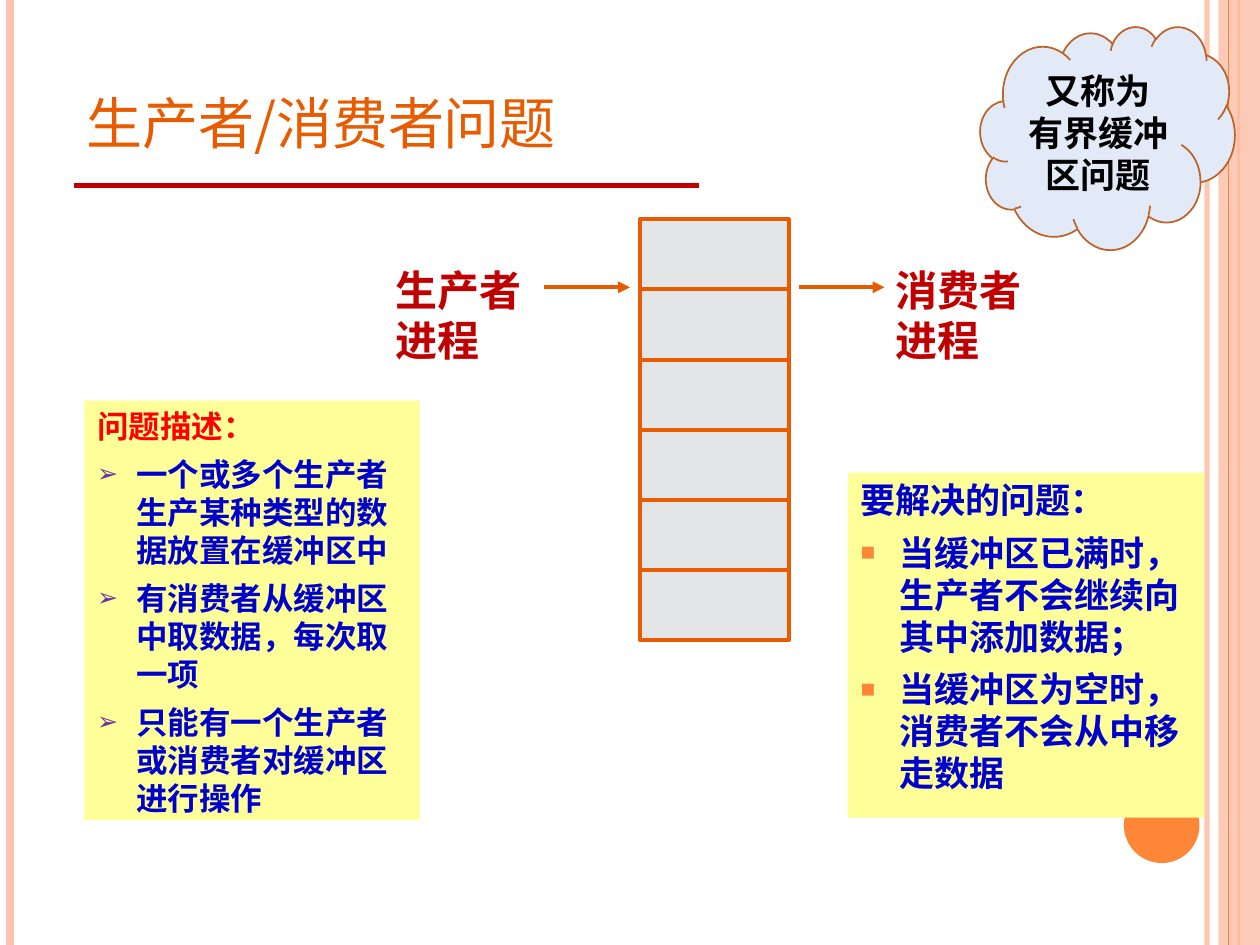
import pptx
import pptx.util
import pptx.dml.color
import pptx.enum.shapes
import pptx.enum.text
import pptx.oxml.ns
import lxml.etree

RGB = pptx.dml.color.RGBColor
WHITE = RGB(0xFF, 0xFF, 0xFF)
PEACH = RGB(0xFE, 0xC3, 0xAE)
AMBER = RGB(0xFE, 0x86, 0x37)
RUST = RGB(0xE7, 0x5C, 0x01)
BROWN = RGB(0xBC, 0x63, 0x29)
WINE = RGB(0xC0, 0x00, 0x00)
RED = RGB(0xFF, 0x00, 0x00)
BLUE = RGB(0x00, 0x00, 0xCC)
BLACK = RGB(0x00, 0x00, 0x00)
PLUM = RGB(0x70, 0x30, 0xA0)
LEMON = RGB(0xFF, 0xFF, 0x99)
GREY = RGB(0xE4, 0xE5, 0xE6)
SKY = RGB(0xE3, 0xEA, 0xF7)

FORM = pptx.enum.shapes.MSO_SHAPE
ALIGN = pptx.enum.text.PP_ALIGN
HOLD = pptx.enum.text.MSO_ANCHOR
FIT = pptx.enum.text.MSO_AUTO_SIZE


class Page:
    """Hold the style and the current slide, measured on a grid of 100 columns by 75 rows."""

    font = "Noto Sans CJK SC"
    cols, rows = 100, 75
    lead = 1.2

    def __init__(self, deck):
        self.unit = deck.slide_width / self.cols
        self.slide = deck.slides.add_slide(deck.slide_layouts[3])
        self.slide.background.fill.solid()
        self.slide.background.fill.fore_color.rgb = WHITE

    def span(self, *cells):
        return [round(cell * self.unit) for cell in cells]

    def node(self, home, tag, **traits):
        item = lxml.etree.SubElement(home, pptx.oxml.ns.qn("a:" + tag))
        for name, value in traits.items():
            item.set(name, str(value))
        return item

    def fade(self, shape, share):
        for tone in shape._element.spPr.iter(pptx.oxml.ns.qn("a:srgbClr")):
            self.node(tone, "alpha", val=share * 1000)

    def line(self, start, end, color, width, arrow=False):
        kind = pptx.enum.shapes.MSO_CONNECTOR.STRAIGHT
        line = self.slide.shapes.add_connector(kind, *self.span(*start, *end))
        line.line.color.rgb = color
        line.line.width = pptx.util.Pt(width)
        if arrow:
            self.node(line.line._get_or_add_ln(), "tailEnd", type="triangle")
        self.node(line._element.spPr, "effectLst")
        return line

    def shape(self, form, place, fill, edge=None, width=1):
        shape = self.slide.shapes.add_shape(form, *self.span(*place))
        shape.shadow.inherit = False
        shape.fill.solid()
        shape.fill.fore_color.rgb = fill
        if edge is None:
            shape.line.fill.background()
        else:
            shape.line.color.rgb = edge
            shape.line.width = pptx.util.Pt(width)
        return shape

    def holder(self, index, place, fill=None):
        shape = self.slide.placeholders[index]
        shape.left, shape.top, shape.width, shape.height = self.span(*place)
        self.slide.shapes._spTree.append(shape._element)
        if fill is not None:
            shape.fill.solid()
            shape.fill.fore_color.rgb = fill
        return shape

    def text(self, frame, texts, size, color, bold=True, align=ALIGN.LEFT, anchor=HOLD.TOP, wrap=True):
        frame.word_wrap = wrap
        frame.auto_size = FIT.NONE
        frame.vertical_anchor = anchor
        for rank, text in enumerate(texts):
            para = frame.paragraphs[0] if rank == 0 else frame.add_paragraph()
            para.alignment = align
            para.line_spacing = pptx.util.Pt(size * self.lead)
            para.space_before = pptx.util.Pt(0)
            run = para.add_run()
            run.text = text
            run.font.size = pptx.util.Pt(size)
            run.font.bold = bold
            run.font.color.rgb = color
            run.font.name = self.font
            self.node(run.font._element, "ea", typeface=self.font)
        return frame.paragraphs

    def title(self, text, place):
        frame = self.holder(0, place).text_frame
        para = self.text(frame, [text], 40, RUST, bold=False, anchor=HOLD.BOTTOM)[0]
        para.runs[0].font._element.set("cap", "small")

    def label(self, texts, place):
        frame = self.slide.shapes.add_textbox(*self.span(*place)).text_frame
        self.text(frame, texts, 24, WINE, wrap=False)

    def cloud(self, texts, place):
        cloud = self.shape(FORM.CLOUD, place, SKY, BROWN)
        self.text(cloud.text_frame, texts, 20, BLACK, align=ALIGN.CENTER, anchor=HOLD.MIDDLE)

    def notes(self, index, place, head, items, size, tone, mark, tint, scale):
        frame = self.holder(index, place, LEMON).text_frame
        paras = self.text(frame, [head, *items], size, BLUE)
        paras[0].runs[0].font.color.rgb = tone
        dent = self.span(3.1)[0]
        for rank, para in enumerate(paras):
            para.space_before = pptx.util.Pt(6)
            prop = para._p.get_or_add_pPr()
            prop.set("marL", str(dent))
            prop.set("indent", str(-dent))
            if rank == 0:
                self.node(prop, "buNone")
                continue
            self.node(self.node(prop, "buClr"), "srgbClr", val=tint)
            self.node(prop, "buSzPct", val=scale * 1000)
            self.node(prop, "buChar", char=mark)


def trim(page):
    """Draw the side bands and the dot."""
    tall = page.rows
    page.fade(page.line((95.8, 0), (95.8, tall), PEACH, 3), 93)
    page.line((0.8, 0), (0.8, tall), PEACH, 4.5)
    page.line((98.3, 0), (98.3, tall), AMBER, 1.5)
    page.fade(page.shape(FORM.RECTANGLE, (96.7, 0, 3.3, tall), PEACH), 87)
    page.line((97.5, 0), (97.5, tall), AMBER, 0.75)
    page.shape(FORM.OVAL, (89.2, 62.5, 6, 6), AMBER)


def main():
    """Build the slide and save it."""
    deck = pptx.Presentation()
    deck.slide_width = pptx.util.Inches(10)
    deck.slide_height = pptx.util.Inches(7.5)
    page = Page(deck)
    trim(page)
    page.line((5.9, 14.7), (55.5, 14.7), WINE, 3)
    page.title("生产者/消费者问题", (5.9, 3, 82, 10.1))
    step = 5.57
    for slot in range(6):
        page.shape(FORM.RECTANGLE, (50.8, 17.4 + slot * step, 11.8, step), GREY, RUST, 2.25)
    for name, left in (("生产者", 30.4), ("消费者", 70.1)):
        page.label([name, "进程"], (left, 20.5, 12.1, 9.1))
    for left in (43.2, 63.4):
        page.line((left, 22.8), (left + 6.8, 22.8), RUST, 2.25, arrow=True)
    page.cloud(["又称为", "有界缓冲区问题"], (77.8, 2.1, 20.2, 17.7))
    page.notes(1, (6.7, 31.8, 26.6, 33.3), "问题描述：", [
        "一个或多个生产者生产某种类型的数据放置在缓冲区中",
        "有消费者从缓冲区中取数据，每次取一项",
        "只能有一个生产者或消费者对缓冲区进行操作",
    ], 18, RED, "➢", PLUM, 80)
    page.notes(2, (67.3, 37.5, 28.3, 27.4), "要解决的问题：", [
        "当缓冲区已满时，生产者不会继续向其中添加数据；",
        "当缓冲区为空时，消费者不会从中移走数据",
    ], 20, BLUE, "■", AMBER, 70)
    deck.save("out.pptx")


if __name__ == "__main__":
    main()
